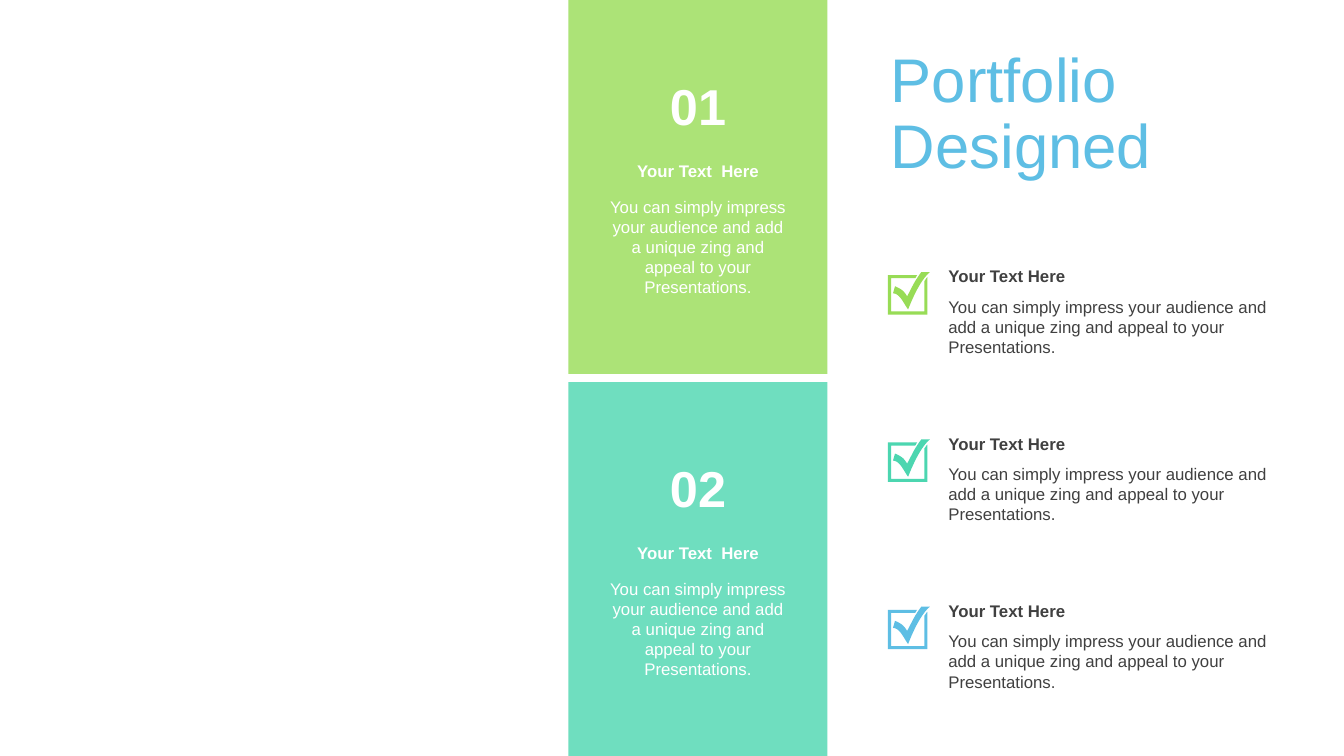
"""Build the Portfolio Designed slide: two numbered panels and a checklist."""
from lxml.etree import SubElement
from pptx import Presentation
from pptx.dml.color import RGBColor
from pptx.enum.shapes import MSO_SHAPE
from pptx.enum.text import MSO_ANCHOR, PP_ALIGN
from pptx.oxml.ns import qn
from pptx.util import Pt

TITLE = "Portfolio Designed"
PITCH = "You can simply impress your audience and add a unique zing and appeal to your Presentations."
PANELS = [
    ("01", "Your Text  Here", PITCH, "green"),
    ("02", "Your Text  Here", PITCH, "teal"),
]
CHECKS = [
    ("Your Text Here", PITCH, "green"),
    ("Your Text Here", PITCH, "teal"),
    ("Your Text Here", PITCH, "blue"),
]
THEME = {
    "font": "Arial",
    "green": "98DC56", "teal": "4CD6B0", "blue": "5EBEE4",
    "white": "FFFFFF", "dark": "404040",
    "title": 44, "number": 36, "text": 12,
    "panel_alpha": 80000,
}

SLIDE_W, SLIDE_H = 960, 540
PANEL_X, PANEL_W, PANEL_H = 406.1, 185, 267.1
PANEL_STEP = SLIDE_H - PANEL_H
PANEL_TEXT_W, NUMBER_W = 140.4, 70.6
CHECK_X, CHECK_Y, CHECK_STEP = 634.3, 194.4, 119.5
CHECK_TEXT_X, CHECK_TEXT_W = 670.3, 244.1

ICON_UNIT = 0.72
FRAME = [
    [(0, 3)], [(29, 3)], [(28, 4), (28, 5), (27, 6)], [(3, 6)], [(3, 39)],
    [(36, 39)], [(36, 9)], [(37, 8), (38, 6), (39, 5)], [(39, 42)], [(0, 42)],
]
TICK = [
    [(41.5, 0)], [(33, 7), (25, 24), (20, 37)], [(16, 32), (12, 21), (5, 21)],
    [(7, 14)], [(14, 17), (16, 19), (19, 24)], [(24, 15), (25, 11), (33, 0)],
]
CURVE_STEPS = 10


def outline(steps):
    """Turn line and curve steps into slide-unit points."""
    points = []
    for step in steps:
        if len(step) == 1:
            points.append(step[0])
            continue
        a, (b, c, d) = points[-1], step
        for i in range(1, CURVE_STEPS + 1):
            t = i / CURVE_STEPS
            u = 1 - t
            points.append(tuple(
                u**3 * a[k] + 3 * u * u * t * b[k] + 3 * u * t * t * c[k] + t**3 * d[k]
                for k in (0, 1)))
    return [(Pt(x * ICON_UNIT), Pt(y * ICON_UNIT)) for x, y in points]


def paint(shape, color):
    """Give a shape a plain fill with no line or shadow."""
    shape.shadow.inherit = False
    shape.fill.solid()
    shape.fill.fore_color.rgb = RGBColor.from_string(THEME[color])
    shape.line.fill.background()


def write(slide, box, text, size, color, bold=False, align=PP_ALIGN.LEFT,
          anchor=MSO_ANCHOR.TOP, spacing=1.0):
    """Place one paragraph of text."""
    frame = slide.shapes.add_textbox(*map(Pt, box)).text_frame
    frame.word_wrap = True
    frame.vertical_anchor = anchor
    paragraph = frame.paragraphs[0]
    paragraph.text = text
    paragraph.alignment = align
    paragraph.line_spacing = spacing
    formats = {"name": THEME["font"], "size": Pt(THEME[size]), "bold": bold}
    for key, value in formats.items():
        setattr(paragraph.font, key, value)
    paragraph.font.color.rgb = RGBColor.from_string(THEME[color])


def add_panel(slide, top, number, heading, body, color):
    """Draw one translucent panel with its centred text."""
    panel = slide.shapes.add_shape(
        MSO_SHAPE.RECTANGLE, *map(Pt, (PANEL_X, top, PANEL_W, PANEL_H)))
    paint(panel, color)
    tint = panel.fill._xPr.find(qn("a:solidFill"))[0]
    SubElement(tint, qn("a:alpha"), val=str(THEME["panel_alpha"]))
    rows = [
        (number, 50.4, NUMBER_W, 51.1, "number", True),
        (heading, 111.6, PANEL_TEXT_W, 21.6, "text", True),
        (body, 136.8, PANEL_TEXT_W, 79.9, "text", False),
    ]
    for text, offset, width, height, size, bold in rows:
        left = PANEL_X + (PANEL_W - width) / 2
        write(slide, (left, top + offset, width, height), text, size, "white",
              bold, PP_ALIGN.CENTER)


def add_check(slide, top, heading, body, color):
    """Draw one ticked box with its heading and body."""
    frame, tick = outline(FRAME), outline(TICK)
    builder = slide.shapes.build_freeform(*frame[0])
    builder.add_line_segments(frame[1:])
    builder.move_to(*tick[0])
    builder.add_line_segments(tick[1:])
    paint(builder.convert_to_shape(Pt(CHECK_X), Pt(top)), color)
    write(slide, (CHECK_TEXT_X, top - 7.9, CHECK_TEXT_W, 21.6), heading, "text", "dark", True)
    write(slide, (CHECK_TEXT_X, top + 13.7, CHECK_TEXT_W, 51.1), body, "text", "dark")


def main():
    """Assemble and save the slide."""
    deck = Presentation()
    deck.slide_width, deck.slide_height = Pt(SLIDE_W), Pt(SLIDE_H)
    slide = deck.slides.add_slide(deck.slide_layouts[6])
    write(slide, (629.3, 25.9, 244.1, 113), TITLE, "title", "blue",
          anchor=MSO_ANCHOR.MIDDLE, spacing=0.9)
    for i, panel in enumerate(PANELS):
        add_panel(slide, i * PANEL_STEP, *panel)
    for i, check in enumerate(CHECKS):
        add_check(slide, CHECK_Y + i * CHECK_STEP, *check)
    deck.save("out.pptx")


if __name__ == "__main__":
    main()
